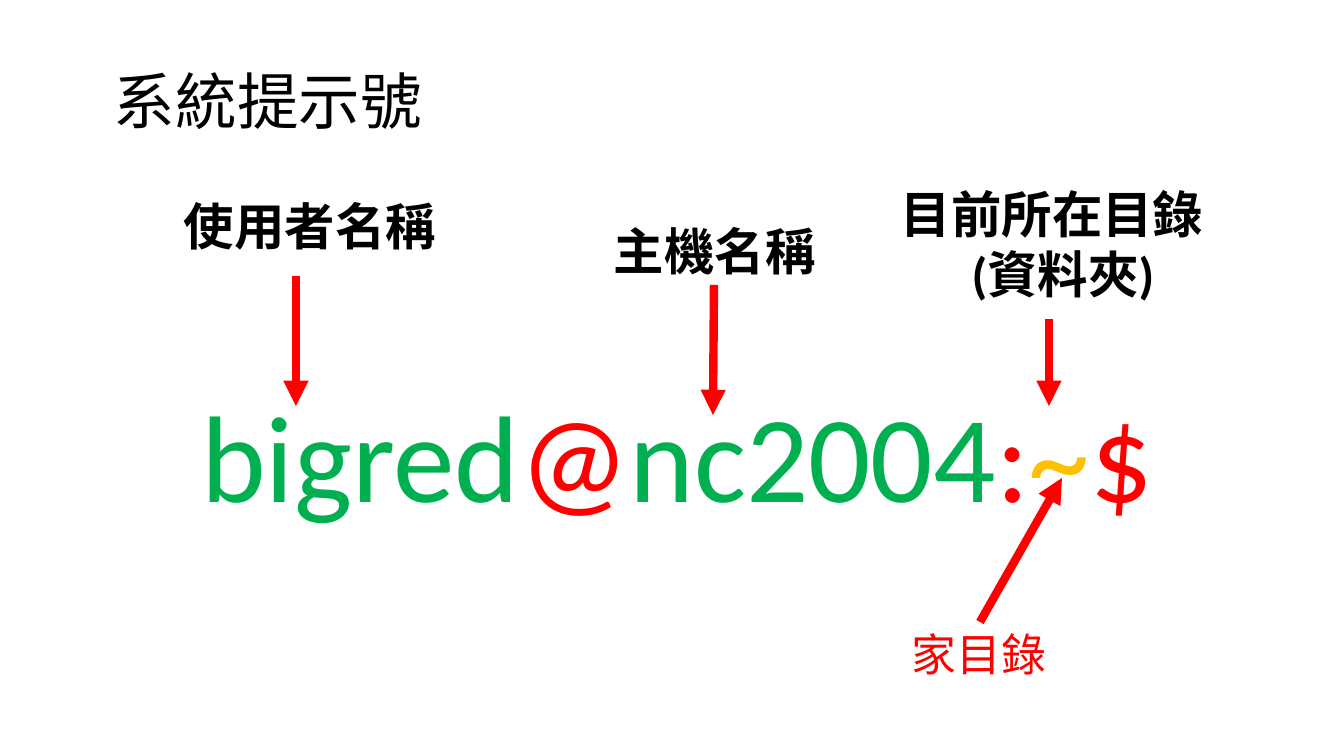
import pptx
import pptx.util
import pptx.dml.color
import pptx.enum.shapes
import pptx.enum.text
import pptx.oxml

PX = 12192000 / 1344
FONT = "Calibri"
BLACK = pptx.dml.color.RGBColor(0x00, 0x00, 0x00)
RED = pptx.dml.color.RGBColor(0xFF, 0x00, 0x00)
GREEN = pptx.dml.color.RGBColor(0x00, 0xB0, 0x50)
AMBER = pptx.dml.color.RGBColor(0xFF, 0xC0, 0x00)
LEFT = pptx.enum.text.PP_ALIGN.LEFT
CENTER = pptx.enum.text.PP_ALIGN.CENTER

TITLE = ((104, 32, 1159, 146), [(LEFT, [("系統提示號", BLACK)])])
LABELS = [
    ((174, 190, 328, 72), [(LEFT, [("使用者名稱", BLACK)])]),
    ((604, 215, 287, 72), [(LEFT, [("主機名稱", BLACK)])]),
    ((891, 178, 344, 132), [(LEFT, [("目前所在目錄", BLACK)]),
                            (CENTER, [("(資料夾)", BLACK)])]),
]
HOME = ((902, 622, 156, 65), [(LEFT, [("家目錄", RED)])])
PROMPT = ((186, 374, 982, 159), [(CENTER, [
    ("bigred", GREEN), ("@", RED), ("nc2004", GREEN),
    (":", RED), ("~", AMBER), ("$", RED),
])])
LABEL_ARROWS = [
    (296, 276, 296, 406),
    (714, 285, 713, 415),
    (1049, 319, 1049, 406),
]
HOME_ARROW = (980, 622, 1062, 478)


def emu(lengths):
    return [pptx.util.Emu(round(n * PX)) for n in lengths]


def add_text(slide, content, size, bold=False, wrap=True):
    box, lines = content
    sp = slide.shapes.add_textbox(*emu(box))
    tf = sp.text_frame
    tf.word_wrap = wrap
    tf.auto_size = pptx.enum.text.MSO_AUTO_SIZE.SHAPE_TO_FIT_TEXT
    for i, (align, runs) in enumerate(lines):
        p = tf.add_paragraph() if i else tf.paragraphs[0]
        p.alignment = align
        p.font.name = FONT
        p.font.size = pptx.util.Pt(size)
        p.font.bold = bold
        for text, color in runs:
            r = p.add_run()
            r.text = text
            r.font.color.rgb = color
    return sp


def add_arrow(slide, ends):
    line = slide.shapes.add_connector(
        pptx.enum.shapes.MSO_CONNECTOR.STRAIGHT, *emu(ends))
    line.line.color.rgb = RED
    line.line.width = pptx.util.Pt(6)
    ns = pptx.oxml.ns.nsdecls("a")
    ln = line.line._get_or_add_ln()
    ln.append(pptx.oxml.parse_xml(f'<a:tailEnd {ns} type="triangle"/>'))
    line._element.spPr.append(pptx.oxml.parse_xml(f"<a:effectLst {ns}/>"))
    return line


def main():
    prs = pptx.Presentation()
    prs.slide_width, prs.slide_height = emu((1344, 756))
    slide = prs.slides.add_slide(prs.slide_layouts[6])

    title = add_text(slide, TITLE, 44)
    title.text_frame.auto_size = pptx.enum.text.MSO_AUTO_SIZE.NONE
    title.text_frame.vertical_anchor = pptx.enum.text.MSO_ANCHOR.MIDDLE
    title.text_frame.paragraphs[0].line_spacing = 0.9

    for label in LABELS:
        add_text(slide, label, 36, bold=True)
    for ends in LABEL_ARROWS:
        add_arrow(slide, ends)
    home_arrow = add_arrow(slide, HOME_ARROW)
    home = add_text(slide, HOME, 32, wrap=False)
    home_arrow.begin_connect(home, 0)
    add_text(slide, PROMPT, 88, wrap=False)

    prs.save("out.pptx")


if __name__ == "__main__":
    main()
